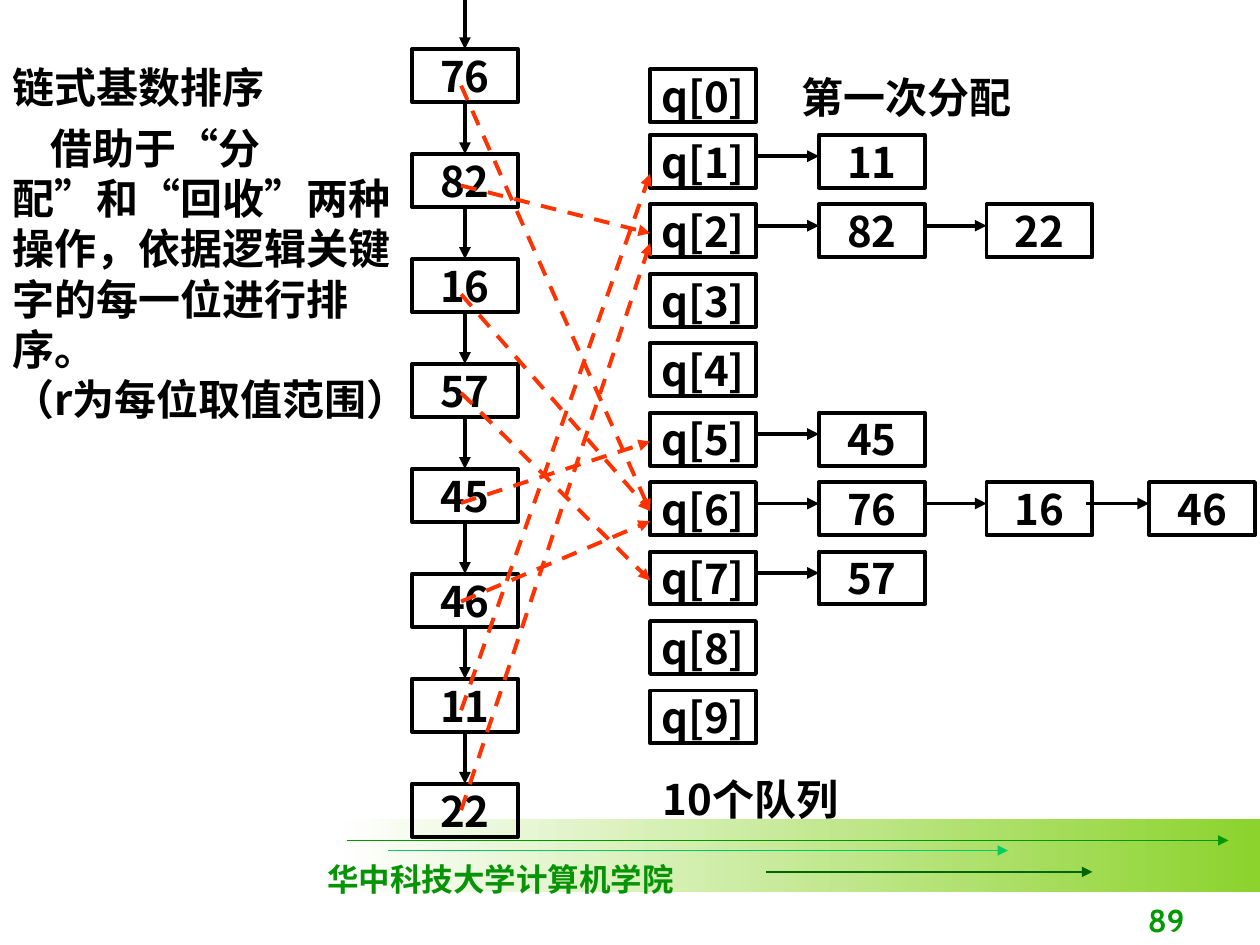
from dataclasses import dataclass

from lxml import etree
from pptx import Presentation
from pptx.dml.color import RGBColor
from pptx.enum import dml, shapes, text
from pptx.oxml.ns import qn
from pptx.util import Inches, Pt


@dataclass(frozen=True)
class Theme:
    ink: str = "000000"
    move: str = "FF3300"
    school: str = "069406"
    page: str = "009900"
    band: tuple = ("FFFFFF", "8CD32D")
    body_font: str = "Noto Sans CJK SC"
    school_font: str = "Times New Roman"
    page_font: str = "Cabin"
    body: float = 24
    small: float = 18
    leading: float = 28.75
    small_leading: float = 23.5
    stroke: float = 2.25
    hairline: float = 0.75


THEME = Theme()
NODE_W, NODE_H = 0.84, 0.42
LIST_PITCH = 5.83 / 7
QUEUE_PITCH = 4.41 / 8
LINK = 0.5
LINK_DROP = 0.17

KEYS = (76, 82, 16, 57, 45, 46, 11, 22)
QUEUES = {1: (11,), 2: (82, 22), 5: (45,), 6: (76, 16, 46), 7: (57,)}
QUEUE_COLUMNS = (6.5, 7.83, 9.12)
# Drop below the top of the list node and below the top of the queue head
MOVES = ((0.29, 0.23), (0.25, 0.23), (0.28, 0.23), (0.23, 0.23),
         (0.27, 0.23), (0.22, 0.31), (0.25, 0.31), (0.21, 0.31))


def rgb(value):
    return RGBColor.from_string(value)


def add_run(p, words, size=THEME.body, font=THEME.body_font, color=THEME.ink):
    r = p.add_run()
    r.text = words
    r.font.size = Pt(size)
    r.font.name = font
    r.font.bold = True
    r.font.color.rgb = rgb(color)
    latin = r.font._element.find(qn("a:latin"))
    latin.addnext(etree.Element(qn("a:ea"), typeface=THEME.body_font))


def add_arrow(parent, start, end, color=THEME.ink, width=THEME.stroke, dashed=False):
    x1, y1, x2, y2 = (Inches(v) for v in (*start, *end))
    line = parent.add_connector(shapes.MSO_CONNECTOR.STRAIGHT, x1, y1, x2, y2)
    line.line.color.rgb = rgb(color)
    line.line.width = Pt(width)
    if dashed:
        line.line.dash_style = dml.MSO_LINE.DASH
    etree.SubElement(line.line._get_or_add_ln(), qn("a:tailEnd"), type="triangle")
    etree.SubElement(line._element.spPr, qn("a:effectLst"))


def add_node(parent, x, y, words):
    sp = parent.add_shape(shapes.MSO_SHAPE.RECTANGLE,
                          *(Inches(v) for v in (x, y, NODE_W, NODE_H)))
    sp.shadow.inherit = False
    sp.fill.background()
    sp.line.color.rgb = rgb(THEME.ink)
    sp.line.width = Pt(THEME.stroke)
    tf = sp.text_frame
    tf.word_wrap = False
    tf.margin_top = tf.margin_bottom = 0
    tf.vertical_anchor = text.MSO_ANCHOR.MIDDLE
    p = tf.paragraphs[0]
    p.alignment = text.PP_ALIGN.CENTER
    add_run(p, words)


def add_box(s, box, wrap=True):
    tf = s.shapes.add_textbox(*(Inches(v) for v in box)).text_frame
    tf.word_wrap = wrap
    return tf


def add_body_text(s, box, lines):
    """Place paragraphs given as (words, space before, first-line indent)."""
    tf = add_box(s, box)
    for i, (words, before, indent) in enumerate(lines):
        p = tf.add_paragraph() if i else tf.paragraphs[0]
        p.line_spacing = Pt(THEME.leading)
        if before:
            p.space_before = Pt(before)
        p_pr = p._p.get_or_add_pPr()
        p_pr.set("hangingPunct", "0")
        if indent:
            p_pr.set("indent", str(Inches(indent)))
        add_run(p, words)


def add_footer(s, box):
    left, top, width, height = box
    band = s.shapes.add_shape(shapes.MSO_SHAPE.RECTANGLE, *(Inches(v) for v in box))
    band.shadow.inherit = False
    band.line.fill.background()
    band.fill.gradient()
    band.fill.gradient_angle = 0
    for stop, color in zip(band.fill.gradient_stops, THEME.band):
        stop.color.rgb = rgb(color)
    for x1, x2, dy, color in ((0.08, 7.08, 0.17, "009900"),
                              (0.41, 5.33, 0.25, "00CC66"),
                              (3.41, 6, 0.42, "006600")):
        add_arrow(s.shapes, (left + x1, top + dy), (left + x2, top + dy),
                  color, THEME.hairline)
    tf = add_box(s, (left - 0.17, top + 0.25, 2.95, 0.4), wrap=False)
    p = tf.paragraphs[0]
    p.line_spacing = Pt(THEME.small_leading)
    add_run(p, "华中科技大学计算机学院", THEME.small, THEME.school_font, THEME.school)
    tf = add_box(s, (left + 4.75, top + 0.5, 2.08, 0.5))
    tf.vertical_anchor = text.MSO_ANCHOR.BOTTOM
    p = tf.paragraphs[0]
    p.alignment = text.PP_ALIGN.RIGHT
    add_run(p, "89", THEME.small, THEME.page_font, THEME.page)


def add_key_list(s, left, top):
    """Draw the linked list and return the top of each key's node."""
    tops = {}
    for i, key in enumerate(KEYS):
        y = tops[key] = top + i * LIST_PITCH
        add_node(s.shapes, left, y, str(key))
        x = left + NODE_W / 2
        add_arrow(s.shapes, (x, y - LIST_PITCH + NODE_H), (x, y))
    return tops


def add_queues(s, left, top):
    """Draw the ten queues and return the top of the queue holding each key."""
    tops = {}
    for i in range(10):
        y = top + 0.52 + (i - 1) * QUEUE_PITCH if i else top
        add_node(s.shapes, left, y, f"q[{i}]")
        for x, key in zip(QUEUE_COLUMNS, QUEUES.get(i, ())):
            tops[key] = y
            group = s.shapes.add_group_shape().shapes
            add_node(group, x, y, str(key))
            add_arrow(group, (x - LINK, y + LINK_DROP), (x, y + LINK_DROP))
    return tops


def add_moves(s, x1, x2, key_tops, queue_tops):
    for key, (start, end) in zip(KEYS, MOVES):
        add_arrow(s.shapes, (x1, key_tops[key] + start), (x2, queue_tops[key] + end),
                  THEME.move, dashed=True)


def main():
    prs = Presentation()
    prs.slide_width, prs.slide_height = Inches(10), Inches(7.5)
    s = prs.slides.add_slide(prs.slide_layouts[6])
    add_footer(s, (2.67, 6.5, 7.33, 0.58))
    key_tops = add_key_list(s, 3.27, 0.39)
    queue_tops = add_queues(s, 5.16, 0.55)
    add_moves(s, 3.66, 5.16, key_tops, queue_tops)
    add_body_text(s, (5.16, 6.09, 1.75, 0.5), [("10个队列", 0, 0)])
    add_body_text(s, (6.26, 0.52, 3.17, 0.5), [("第一次分配", 0, 0)])
    add_body_text(s, (0, 0.44, 3.35, 2.99), [
        ("链式基数排序", 0, 0),
        ("借助于“分配”和“回收”两种操作，依据逻辑关键字的每一位进行排序。", 6, 0.3),
        ("（r为每位取值范围）", 0, 0),
    ])
    prs.save("out.pptx")


if __name__ == "__main__":
    main()
